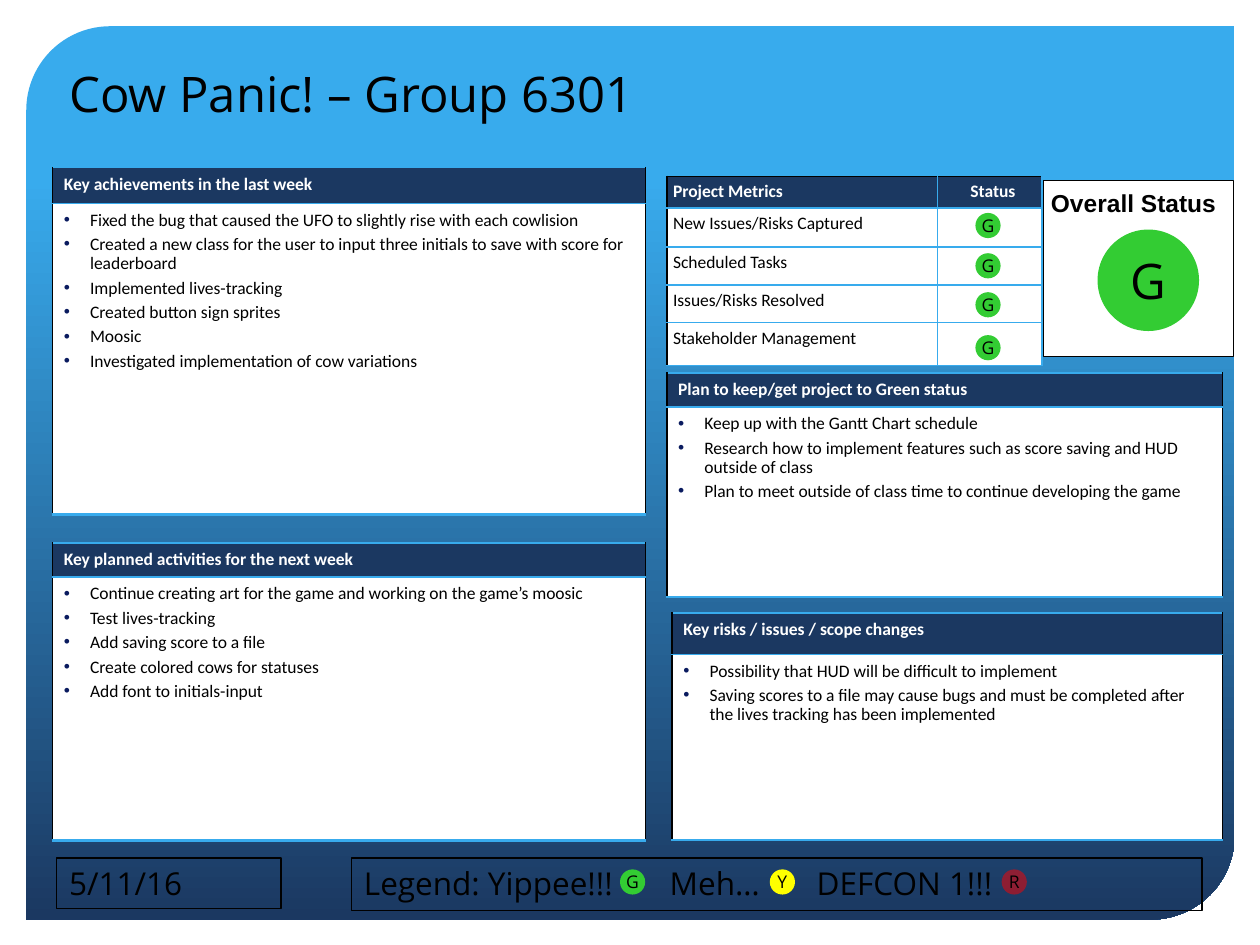
from lxml import etree
from pptx import Presentation
from pptx import util as u
from pptx.dml.color import RGBColor
from pptx.enum import shapes, text
from pptx.oxml.ns import qn

Pt = u.Pt
SKY = RGBColor(0x38, 0xAB, 0xED)
NAVY = RGBColor(0x1B, 0x38, 0x61)
BULLET = RGBColor(0x0A, 0x1B, 0x5F)
GREEN = RGBColor(0x33, 0xCC, 0x33)
YELLOW = RGBColor(0xFF, 0xFF, 0x00)
RED = RGBColor(0xFF, 0x00, 0x00)
WHITE = RGBColor(0xFF, 0xFF, 0xFF)
BLACK = RGBColor(0, 0, 0)
SHAPE = shapes.MSO_SHAPE
CENTER = text.PP_ALIGN.CENTER
LEFT = text.PP_ALIGN.LEFT
TOP = text.MSO_ANCHOR.TOP
MIDDLE = text.MSO_ANCHOR.MIDDLE


def sub(parent, tag, **attrs):
    return etree.SubElement(parent, qn(tag), {k: str(v) for k, v in attrs.items()})


def write(tf, lines, size=10, font="Calibri", color=BLACK, bold=False,
          align=LEFT, before=0, spacing=1.0, bullets=False, tabs=()):
    """Write a line of text, or a list of lines, in one format."""
    lines = [lines] if isinstance(lines, str) else lines
    for i, line in enumerate(lines):
        p = tf.add_paragraph() if i else tf.paragraphs[0]
        p.alignment, p.line_spacing, p.space_before = align, spacing, Pt(before)
        pPr = p._p.get_or_add_pPr()
        if bullets:
            pPr.set("marL", str(Pt(15)))
            pPr.set("indent", str(Pt(-15)))
            sub(sub(pPr, "a:buClr"), "a:srgbClr", val=BULLET)
            sub(pPr, "a:buFont", typeface="Arial")
            sub(pPr, "a:buChar", char="•")
        if tabs:
            stops = sub(pPr, "a:tabLst")
            for pos in tabs:
                sub(stops, "a:tab", pos=Pt(pos), algn="l")
        if not line:
            sub(p._p, "a:endParaRPr", sz=size * 100)
            continue
        r = p.add_run()
        r.text = line
        r.font.size, r.font.name, r.font.bold = Pt(size), font, bold
        r.font.color.rgb = color


def add_shape(s, kind, x, y, w, h, fill=None, line=None):
    sp = s.shapes.add_shape(kind, Pt(x), Pt(y), Pt(w), Pt(h))
    sp.shadow.inherit = False
    if fill is None:
        sp.fill.background()
    else:
        sp.fill.solid()
        sp.fill.fore_color.rgb = fill
    if line is None:
        sp.line.fill.background()
    else:
        sp.line.color.rgb = line
        sp.line.width = Pt(0.75)
    sp.text_frame.word_wrap = True
    sp.text_frame.vertical_anchor = TOP
    return sp


def set_margins(target, left, top, right, bottom):
    target.margin_left, target.margin_top = Pt(left), Pt(top)
    target.margin_right, target.margin_bottom = Pt(right), Pt(bottom)


def add_table(s, x, y, widths, heights):
    tbl = s.shapes.add_table(len(heights), len(widths), Pt(x), Pt(y),
                             Pt(sum(widths)), Pt(sum(heights))).table
    tbl.first_row = tbl.horz_banding = False
    for col, w in zip(tbl.columns, widths):
        col.width = Pt(w)
    for row, h in zip(tbl.rows, heights):
        row.height = Pt(h)
    return tbl


def format_cell(cell, fill, left=BLACK, top=SKY, right=BLACK, bottom=SKY, bottom_width=1):
    tcPr = cell._tc.get_or_add_tcPr()
    edges = (("L", left, 1), ("R", right, 1), ("T", top, 1), ("B", bottom, bottom_width))
    for side, color, width in edges:
        ln = sub(tcPr, "a:ln" + side, w=Pt(width))
        sub(sub(ln, "a:solidFill"), "a:srgbClr", val=color)
    cell.fill.solid()
    cell.fill.fore_color.rgb = fill


def backdrop(s, x, y, w, h):
    sp = add_shape(s, SHAPE.ROUND_2_DIAG_RECTANGLE, x, y, w, h)
    sp.adjustments[0], sp.adjustments[1] = 0.094, 0
    sp.fill.gradient()
    sp.fill.gradient_angle = 270
    for stop, color, pos in zip(sp.fill.gradient_stops, (SKY, NAVY), (0.17, 1)):
        stop.color.rgb = color
        stop.position = pos
    s.shapes._spTree.insert(2, sp._element)


def title(s, x, y, w, h, words):
    sp = s.shapes.title
    sp.left, sp.top, sp.width, sp.height = Pt(x), Pt(y), Pt(w), Pt(h)
    tf = sp.text_frame
    tf.auto_size, tf.vertical_anchor = text.MSO_AUTO_SIZE.NONE, TOP
    write(tf, words, size=28, font="Open Sans")


def light(s, x, y, d, letter="G", fill=GREEN, size=10, alpha=None):
    """Round status light."""
    sp = add_shape(s, SHAPE.OVAL, x, y, d, d, fill)
    if alpha:
        clr = sp._element.spPr.find(qn("a:solidFill"))[0]
        sub(clr, "a:alpha", val=alpha * 1000)
    tf = sp.text_frame
    tf.word_wrap, tf.vertical_anchor = False, MIDDLE
    set_margins(tf, 0, 0, 0, 0)
    write(tf, letter, size=size, font="Open Sans", align=CENTER)


def panel(s, x, y, w, head_h, body_h, heading, items):
    """Heading bar over a bulleted list."""
    tbl = add_table(s, x, y, [w], [head_h, body_h])
    head, body = tbl.cell(0, 0), tbl.cell(1, 0)
    for cell in (head, body):
        set_margins(cell, 6.5, 4.3, 6.5, 4.3)
    format_cell(head, NAVY)
    format_cell(body, WHITE, bottom_width=1.5)
    write(head.text_frame, heading, color=WHITE, bold=True, before=3, spacing=0.9)
    write(body.text_frame, items, before=3, spacing=0.9, bullets=True)


def metrics(s, x, y, w, status_w, heights, labels):
    """Metrics table with a light in each status cell."""
    tbl = add_table(s, x, y, [w - status_w, status_w], heights)
    for i, label in enumerate(labels):
        header = i == 0
        for j, words in enumerate((label, "Status" if header else "")):
            cell = tbl.cell(i, j)
            set_margins(cell, 3.6, 3.6, 0, 3.6)
            format_cell(cell, NAVY if header else WHITE, left=SKY if j else BLACK,
                        top=BLACK if header else SKY, right=SKY)
            write(cell.text_frame, words, color=WHITE if header else BLACK, bold=header,
                  align=CENTER if j else LEFT, before=3, spacing=0.9)
    for offset in (20.9, 43.9, 66.2, 90.7):
        light(s, x + 176.4, y + offset, 14.4)


def overall_status(s, x, y, w, h):
    tf = add_shape(s, SHAPE.RECTANGLE, x, y, w, h, WHITE, BLACK).text_frame
    set_margins(tf, 4.3, 4.3, 4.3, 4.3)
    write(tf, "Overall Status", size=14, font="Arial", bold=True)
    light(s, x + 31, y + 28.2, 58, size=28)


def footer(s, x, y, w, h, words, tabs=()):
    sp = add_shape(s, SHAPE.RECTANGLE, x, y, w, h, line=BLACK)
    write(sp.text_frame, words, size=18, font="Open Sans", tabs=tabs)


def legend(s, x, y, w, h):
    footer(s, x, y, w, h, "Legend: Yippee!!!\tMeh…\tDEFCON 1!!!", tabs=(174.7, 258.7))
    for offset, letter, fill, alpha in ((153.4, "G", GREEN, None), (239, "Y", YELLOW, None),
                                        (371.5, "R", RED, 50)):
        light(s, x + offset, y + 6.5, 14.4, letter, fill, alpha=alpha)


prs = Presentation()
prs.slide_width, prs.slide_height = Pt(720), Pt(540)
s = prs.slides.add_slide(prs.slide_layouts[5])

backdrop(s, 15, 15, 690.5, 510.5)
title(s, 32.4, 32.4, 514, 41, "Cow Panic! – Group 6301")

# Right column, top
metrics(s, 381, 100.8, 214.5, 59.8, (18, 22.3, 21.6, 21.6, 24.5),
        ("Project Metrics", "New Issues/Risks Captured", "Scheduled Tasks",
         "Issues/Risks Resolved", "Stakeholder Management"))
overall_status(s, 596.2, 103, 108.7, 100.8)

# Text panels
panel(s, 30, 95.8, 339, 20.5, 177.7, "Key achievements in the last week", [
    "Fixed the bug that caused the UFO to slightly rise with each cowlision",
    "Created a new class for the user to input three initials to save with score for leaderboard",
    "Implemented lives-tracking",
    "Created button sign sprites",
    "Moosic",
    "Investigated implementation of cow variations"])
panel(s, 30, 310.3, 339, 19.4, 150.5, "Key planned activities for the next week", [
    "Continue creating art for the game and working on the game’s moosic",
    "Test lives-tracking",
    "Add saving score to a file",
    "Create colored cows for statuses",
    "Add font to initials-input"])
panel(s, 381, 213.1, 317.5, 19.4, 108.7, "Plan to keep/get project to Green status", [
    "Keep up with the Gantt Chart schedule",
    "Research how to implement features such as score saving and HUD outside of class",
    "Plan to meet outside of class time to continue developing the game"])
panel(s, 384, 350.3, 314.5, 23.8, 105.8, "Key risks / issues / scope changes", [
    "Possibility that HUD will be difficult to implement",
    "Saving scores to a file may cause bugs and must be completed after "
    "the lives tracking has been implemented"])

# Footer
legend(s, 200.9, 490.3, 486, 30.2)
footer(s, 32.4, 490.3, 128.2, 28.8, "5/11/16")

prs.save("out.pptx")
